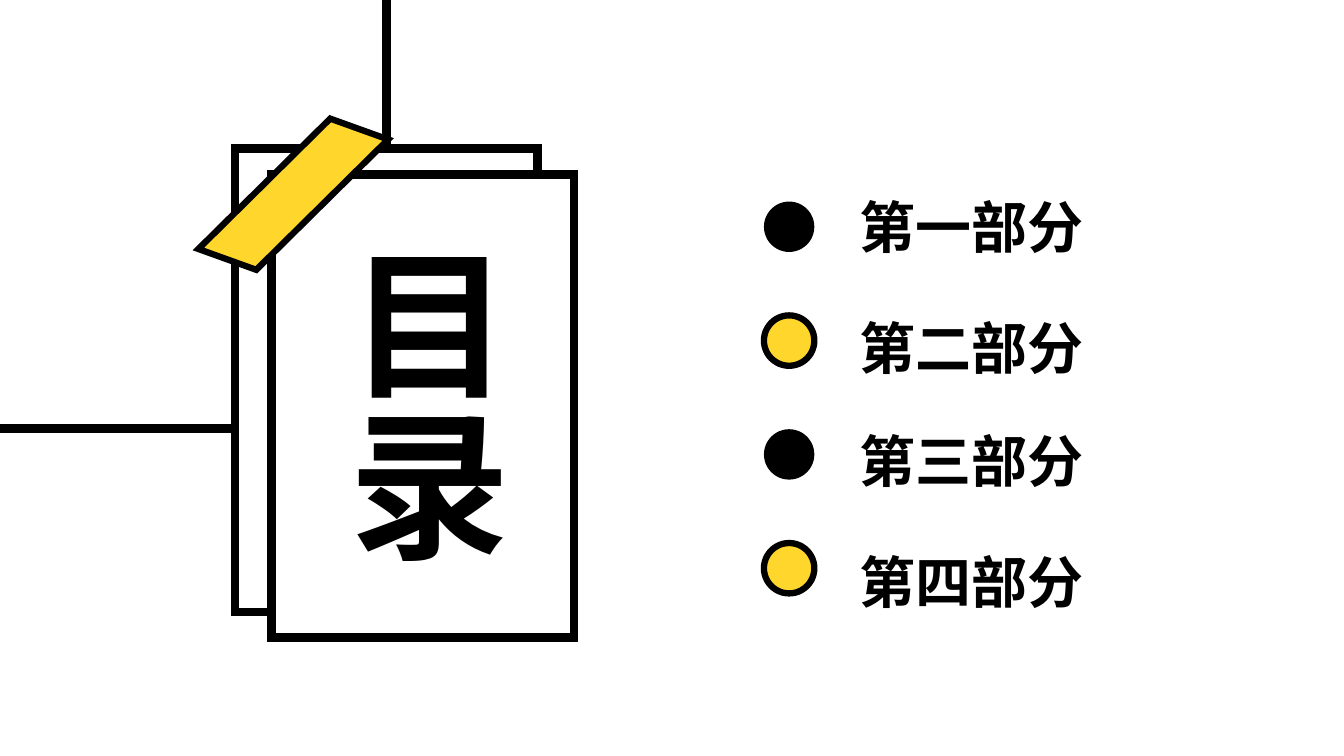
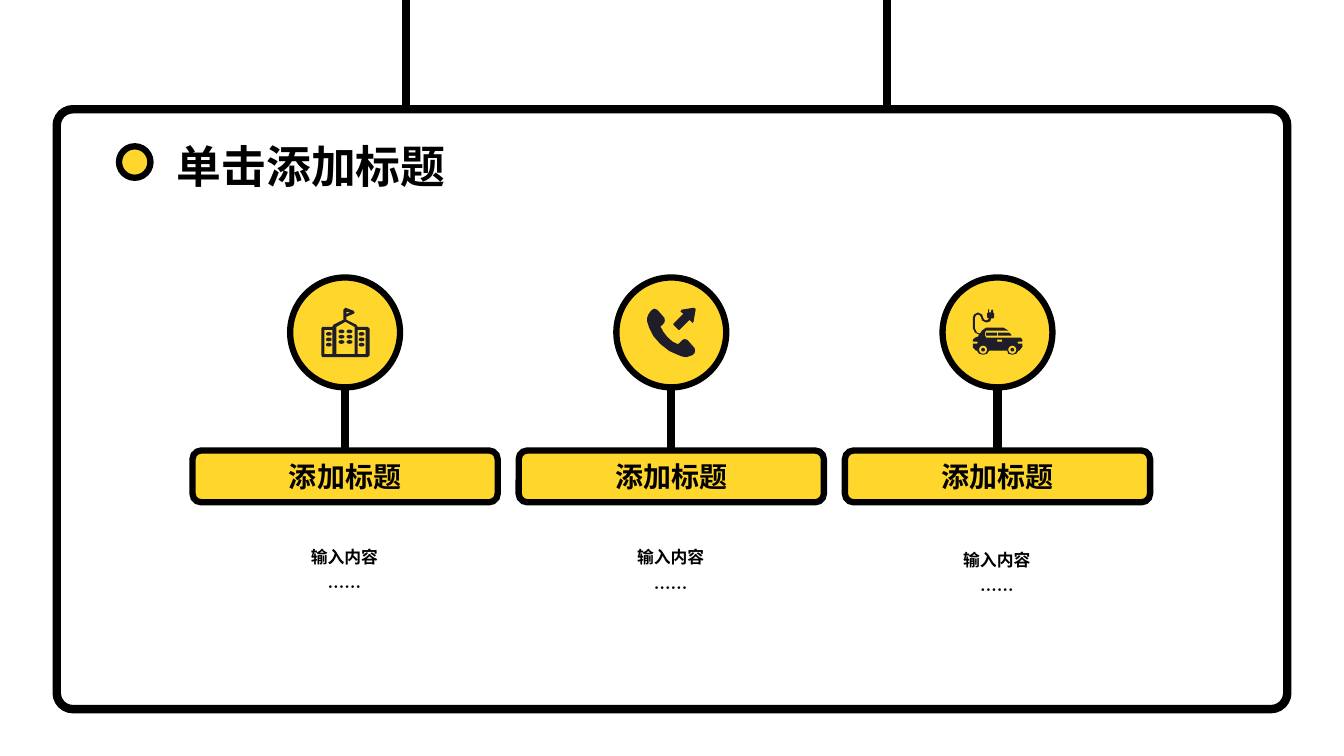
from lxml import etree
from math import cos, pi, sin

from pptx import Presentation
from pptx.dml.color import RGBColor
from pptx.enum.shapes import MSO_CONNECTOR, MSO_SHAPE
from pptx.enum.text import MSO_ANCHOR, MSO_AUTO_SIZE, PP_ALIGN
from pptx.oxml.ns import qn
from pptx.util import Pt

STRAIGHT = MSO_CONNECTOR.STRAIGHT
RECT, ROUND_RECT = MSO_SHAPE.RECTANGLE, MSO_SHAPE.ROUNDED_RECTANGLE
OVAL, PARALLELOGRAM = MSO_SHAPE.OVAL, MSO_SHAPE.PARALLELOGRAM
LEFT, CENTER, JUSTIFY = PP_ALIGN.LEFT, PP_ALIGN.CENTER, PP_ALIGN.JUSTIFY
TOP, MIDDLE = MSO_ANCHOR.TOP, MSO_ANCHOR.MIDDLE
FIT_SHAPE, NO_FIT = MSO_AUTO_SIZE.SHAPE_TO_FIT_TEXT, MSO_AUTO_SIZE.NONE

COLORS = {"black": "000000", "white": "FFFFFF", "yellow": "FFD62C", "icon": "1F1D28"}
FONT = "Noto Sans CJK SC"
THICK, MEDIUM = 6, 4.5
TITLE_AND_BODY, TITLE_ONLY = 1, 5
SIDE_TOP, SIDE_BOTTOM = 0, 2
ICON_UNIT = 0.72  # points per icon grid step
FINE = 10  # freeform units per icon grid step


def rgb(name):
    return RGBColor.from_string(COLORS[name])


def set_text(sp, text, size, align=LEFT, anchor=TOP, spacing=1.0, before=None, fit=NO_FIT):
    """Write one paragraph per line; before lists the space above each one."""
    tf = sp.text_frame
    tf.word_wrap, tf.auto_size, tf.vertical_anchor = True, fit, anchor
    for i, line in enumerate(text.split("\n")):
        p = tf.paragraphs[0] if i == 0 else tf.add_paragraph()
        p.alignment, p.line_spacing = align, spacing
        p.space_before = Pt(before[i] if before else 0)
        r = p.add_run()
        r.text = line
        r.font.size, r.font.bold, r.font.name = Pt(size), True, FONT
        r.font.color.rgb = rgb("black")
        r.font._element.get_or_add_latin().addnext(
            etree.Element(qn("a:ea"), typeface=FONT))


def add_box(s, kind, x, y, w, h, fill="white", line=THICK, adj=None):
    sp = s.shapes.add_shape(kind, Pt(x), Pt(y), Pt(w), Pt(h))
    paint(sp, fill, line)
    if adj is not None:
        sp.adjustments[0] = adj
    return sp


def paint(sp, fill, line=None):
    """Fill a shape and give it a black outline with sharp corners, or none."""
    sp.shadow.inherit = False
    sp.fill.solid()
    sp.fill.fore_color.rgb = rgb(fill)
    if line:
        sp.line.color.rgb = rgb("black")
        sp.line.width = Pt(line)
        etree.SubElement(sp.element.spPr.find(qn("a:ln")), qn("a:miter"), lim="800000")
    else:
        sp.line.fill.background()


def add_line(s, x1, y1, x2, y2):
    cn = s.shapes.add_connector(STRAIGHT, Pt(x1), Pt(y1), Pt(x2), Pt(y2))
    cn.line.color.rgb = rgb("black")
    cn.line.width = Pt(THICK)
    etree.SubElement(cn.element.spPr, qn("a:effectLst"))
    return cn


def place(sp, x, y, w, h):
    """Move a placeholder and bring it to the front."""
    sp.left, sp.top, sp.width, sp.height = Pt(x), Pt(y), Pt(w), Pt(h)
    sp.element.getparent().append(sp.element)
    return sp


def rect(x, y, w, h):
    return [(x, y), (x + w, y), (x + w, y + h), (x, y + h)]


def oval(cx, cy, rx, ry, steps=20):
    return [(cx + rx * cos(2 * pi * i / steps), cy + ry * sin(2 * pi * i / steps))
            for i in range(steps)]


def building():
    outline = [(24, 0), (32, 3), (33, 5), (32, 6), (25, 9), (25, 12), (35, 17), (36, 19),
               (46, 19), (48, 21), (48, 47), (46, 49), (1, 49), (0, 47), (0, 21), (1, 19),
               (11, 19), (12, 17), (22, 12), (22, 2)]
    flag = [(25, 4), (25, 6), (29, 5)]
    hall = [(24, 14), (33, 19), (33, 46), (15, 46), (15, 19)]
    side_windows = [oval(x, y, 2.8, 1.8) for x in (7.5, 40) for y in (26, 31.5, 36.7)]
    hall_windows = [oval(x, y, 2.9, 1.8) for x in (20, 28) for y in (23.5, 28.8, 34)]
    return [outline, flag, hall, rect(3, 22, 8, 24), rect(36, 22, 8, 24),
            *side_windows, *hall_windows]


def phone():
    handset = [(7, 1), (10, 2), (17, 10), (17.5, 12.5), (17, 15), (13, 19), (14, 20),
               (16, 24), (20, 29), (25, 33.5), (30, 36), (31, 36), (35, 32), (37, 31),
               (40, 32), (47, 40), (47.5, 42.5), (47, 45), (45, 47), (42, 48), (39, 49),
               (35, 48.5), (31, 47), (22, 43), (13, 36), (6, 28), (2, 20), (0, 14),
               (0, 10), (1, 7), (3, 4), (5, 2)]
    arrow = [(46, 0), (48, 1), (48, 2), (46, 14), (45, 15), (42, 12), (32, 22), (31, 22),
             (26, 17), (26, 16), (36, 6), (33, 4), (34, 2)]
    return [handset, arrow]


def car():
    body = [(16, 0), (16, 3), (18, 3), (18, 1), (19, 0), (20, 1), (20, 3), (21, 4), (21, 8),
            (20, 9), (18, 9), (17, 12), (13, 13), (9, 11), (8, 8), (7, 6), (5, 5), (3, 6),
            (2, 8), (2, 19), (4, 23), (7, 24), (9, 21), (13, 18), (30, 18), (35, 21),
            (13, 21), (12, 23), (12, 26), (13, 28), (40, 28), (47, 28), (49, 30), (49, 32),
            (45, 32), (44, 33), (45, 34), (49, 34), (49, 37), (46, 41), (45, 41), (43, 44),
            (39, 45), (35, 44), (34, 41), (16, 41), (14, 44), (10, 45), (6, 44), (4, 41),
            (3, 41), (0, 38), (0, 34), (4, 34), (5, 33), (4, 32), (0, 32), (0, 30), (2, 28),
            (5, 27), (6, 25), (2, 23), (0, 19), (0, 8), (1, 5), (5, 3), (9, 5), (10, 8),
            (11, 10), (13, 11), (15, 10), (16, 9), (14, 8), (14, 4), (15, 3), (15, 0)]
    front_window = [(25, 23), (36, 23), (38, 25), (38, 26), (25, 26)]
    wheels = [oval(x, 40, r, r) for x in (10, 39) for r in (4, 1.8)]
    return [body, front_window, rect(13, 23, 11, 3), rect(24, 30, 5, 2), *wheels]


def add_icon(s, contours, x, y):
    """Draw all contours as one shape, so that nested ones become holes."""
    fine = [[(px * FINE, py * FINE) for px, py in c] for c in contours]
    fb = s.shapes.build_freeform(*fine[0][0], scale=Pt(ICON_UNIT) / FINE)
    for c in fine:
        fb.move_to(*c[0])
        fb.add_line_segments(c[1:], close=True)
    paint(fb.convert_to_shape(Pt(x), Pt(y)), "icon")


def add_card(s, x, icon, icon_x, icon_y, text_y):
    w, circle = 218, 78.5
    disc = add_box(s, OVAL, x + (w - circle) / 2, 198.2, circle, circle, "yellow", MEDIUM)
    label = add_box(s, ROUND_RECT, x, 321.8, w, 37, "yellow", MEDIUM)
    set_text(label, "添加标题", 20, CENTER, MIDDLE)
    stem = add_line(s, x + w / 2, 276.7, x + w / 2, 321.8)
    stem.begin_connect(disc, SIDE_BOTTOM)
    stem.end_connect(label, SIDE_TOP)
    add_icon(s, icon, icon_x, icon_y)
    tb = s.shapes.add_textbox(Pt(x - 0.5), Pt(text_y), Pt(w), Pt(57))
    set_text(tb, "输入内容\n……", 12, CENTER, spacing=1.5)


def contents_slide(prs):
    s = prs.slides.add_slide(prs.slide_layouts[TITLE_AND_BODY])
    add_line(s, 322, 306, 0, 306)
    back = add_box(s, RECT, 168, 106, 216, 331)
    add_box(s, RECT, 194, 124.5, 216, 331)
    tape = add_box(s, PARALLELOGRAM, 159, 79, 101, 119.5, "yellow", MEDIUM, 0.565)
    tape.rotation = 19.8
    add_line(s, 276, 0, 276, 106).end_connect(back, SIDE_TOP)

    title = place(s.shapes.title, 225.3, 170.3, 154, 259)
    title.element.txBody.bodyPr.set("vert", "eaVert")
    set_text(title, "目录", 115, JUSTIFY, fit=FIT_SHAPE)

    for i in range(4):
        fill, line = (("black", None), ("yellow", MEDIUM))[i % 2]
        add_box(s, OVAL, 545.7, 144 + 81.3 * i, 36, 36, fill, line)
    body = place(s.placeholders[1], 607, 134, 194, 310)
    set_text(body, "第一部分\n第二部分\n第三部分\n第四部分", 40, before=(0, 38.5, 32.7, 38.5))
    for p in body.text_frame.paragraphs:
        pPr = p._p.get_or_add_pPr()
        pPr.set("marL", "0")
        pPr.set("indent", "0")
        etree.SubElement(pPr, qn("a:buNone"))


def cards_slide(prs):
    s = prs.slides.add_slide(prs.slide_layouts[TITLE_ONLY])
    for x in (290, 633.5):
        add_line(s, x, 0, x, 116)
    add_box(s, ROUND_RECT, 40.5, 78, 879, 428.5, adj=0.027)
    add_box(s, OVAL, 85, 104.5, 22.5, 22.5, "yellow", MEDIUM)
    title = place(s.shapes.title, 119, 95.5, 243, 46)
    set_text(title, "单击添加标题", 32, fit=FIT_SHAPE)

    cards = ((building(), 229.5, 219.8, 379.5), (phone(), 462.3, 219.8, 380),
             (car(), 695, 221, 382))
    for i, card in enumerate(cards):
        add_card(s, 137.5 + 233 * i, *card)


def main():
    prs = Presentation()
    prs.slide_width, prs.slide_height = Pt(960), Pt(540)
    contents_slide(prs)
    cards_slide(prs)
    prs.save("out.pptx")


if __name__ == "__main__":
    main()
